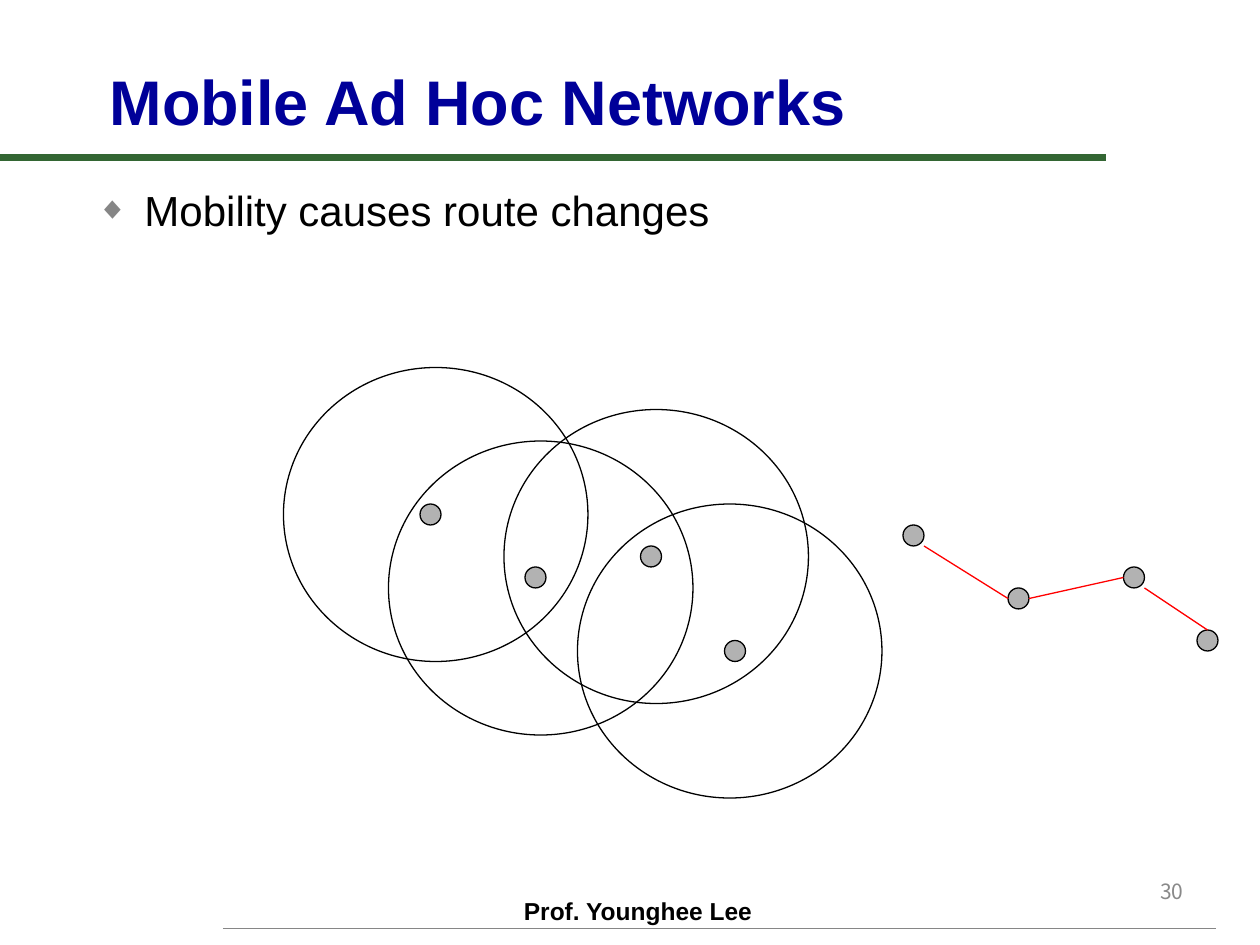
from lxml import etree
from pptx import Presentation, util as u
from pptx.dml.color import RGBColor
from pptx.enum import shapes, text
from pptx.oxml import ns

COLORS = {
    "title": "000099", "ink": "000000", "paper": "FFFFFF", "band": "336633",
    "rule": "868686", "number": "898989", "node": "B2B2B2", "route": "FF0000",
}
CELL = u.Inches(1) / 12
COLUMNS, ROWS = 120, 90
RANGE_SIZE, NODE_SIZE = (29, 28), (2, 2)


def cells(*values):
    return [round(value * CELL) for value in values]


def color(name):
    return RGBColor.from_string(COLORS[name])


class SlideStyle:
    fonts = {
        "title": {"name": "Arial", "size": u.Pt(36), "bold": True},
        "body": {"name": "Arial", "size": u.Pt(24), "bold": False},
        "footer": {"name": "Arial", "size": u.Pt(14), "bold": True},
        "number": {"name": "Noto Sans CJK KR", "size": u.Pt(12), "bold": False},
    }
    frame = {"word_wrap": True, "auto_size": text.MSO_AUTO_SIZE.NONE}

    def __init__(self, deck):
        self.page = deck.slides.add_slide(deck.slide_layouts[1])

    def fill_text(self, box, words, font, ink, anchor, align=text.PP_ALIGN.LEFT):
        frame = box.text_frame
        for name, value in {**self.frame, "vertical_anchor": anchor}.items():
            setattr(frame, name, value)
        para = frame.paragraphs[0]
        para.alignment = align
        span = para.add_run()
        span.text = words
        for name, value in self.fonts[font].items():
            setattr(span.font, name, value)
        span.font.color.rgb = color(ink)
        return para

    def move(self, box, *area):
        for name, value in zip(("left", "top", "width", "height"), cells(*area)):
            setattr(box, name, value)

    def title(self, words, *area):
        box = self.page.shapes.title
        self.move(box, *area)
        box.fill.solid()
        box.fill.fore_color.rgb = color("paper")
        self.fill_text(box, words, "title", "title", text.MSO_ANCHOR.BOTTOM)

    def bullet_list(self, words, *area):
        box = self.page.placeholders[1]
        self.move(box, *area)
        para = self.fill_text(box, words, "body", "ink", text.MSO_ANCHOR.TOP)
        para.space_before = u.Pt(5)
        props = para._p.get_or_add_pPr()
        indent = u.Inches(0.38)
        props.set("marL", str(indent))
        props.set("indent", str(-indent))
        tint = etree.SubElement(props, ns.qn("a:buClr"))
        etree.SubElement(tint, ns.qn("a:srgbClr"), val=COLORS["rule"])
        etree.SubElement(props, ns.qn("a:buSzPct"), val="75000")
        etree.SubElement(props, ns.qn("a:buChar"), char="◆")

    def label(self, words, font, ink, area, anchor, align):
        box = self.page.shapes.add_textbox(*cells(*area))
        self.fill_text(box, words, font, ink, anchor, align)

    def circle(self, corner, size, fill=None):
        oval = self.page.shapes.add_shape(
            shapes.MSO_SHAPE.OVAL, *cells(*corner, *size))
        oval.shadow.inherit = False
        if fill:
            oval.fill.solid()
            oval.fill.fore_color.rgb = color(fill)
        else:
            oval.fill.background()
        oval.line.color.rgb = color("ink")
        oval.line.width = u.Pt(0.75)

    def line(self, start, end, ink, width=0.75):
        link = self.page.shapes.add_connector(
            shapes.MSO_CONNECTOR.STRAIGHT, *cells(*start, *end))
        link.line.color.rgb = color(ink)
        link.line.width = u.Pt(width)
        etree.SubElement(link._element.spPr, ns.qn("a:effectLst"))


def main():
    deck = Presentation()
    deck.slide_width, deck.slide_height = cells(COLUMNS, ROWS)
    slide = SlideStyle(deck)

    slide.title("Mobile Ad Hoc Networks", 9.24, 5.28, 97.8, 8.52)
    slide.bullet_list("Mobility causes route changes", 8, 17, 107, 59)
    slide.line((0, 15), (105.36, 15), "band", 4)
    slide.line((21.24, 88.44), (115.8, 88.44), "rule", 1)
    slide.label("Prof. Younghee Lee", "footer", "ink", (48.72, 84.72, 25, 4),
                text.MSO_ANCHOR.TOP, text.PP_ALIGN.LEFT)
    slide.label("30", "number", "number", (88.92, 81.84, 25, 6),
                text.MSO_ANCHOR.MIDDLE, text.PP_ALIGN.RIGHT)

    ranges = [(27, 35), (37, 42), (48, 39), (55, 48)]
    for corner, fill in zip(ranges, ["paper", None, None, None]):
        slide.circle(corner, RANGE_SIZE, fill)

    network_nodes = [(40, 48), (50, 54), (61, 52), (69, 61)]
    route_nodes = [(86, 50), (96, 56), (107, 54), (114, 60)]
    for corner in network_nodes + route_nodes:
        slide.circle(corner, NODE_SIZE, "node")

    route_links = [((88, 52), (96, 57)), ((98, 57), (107, 55)),
                   ((109, 56), (115, 60))]
    for start, end in route_links:
        slide.line(start, end, "route")

    deck.save("out.pptx")


if __name__ == "__main__":
    main()
